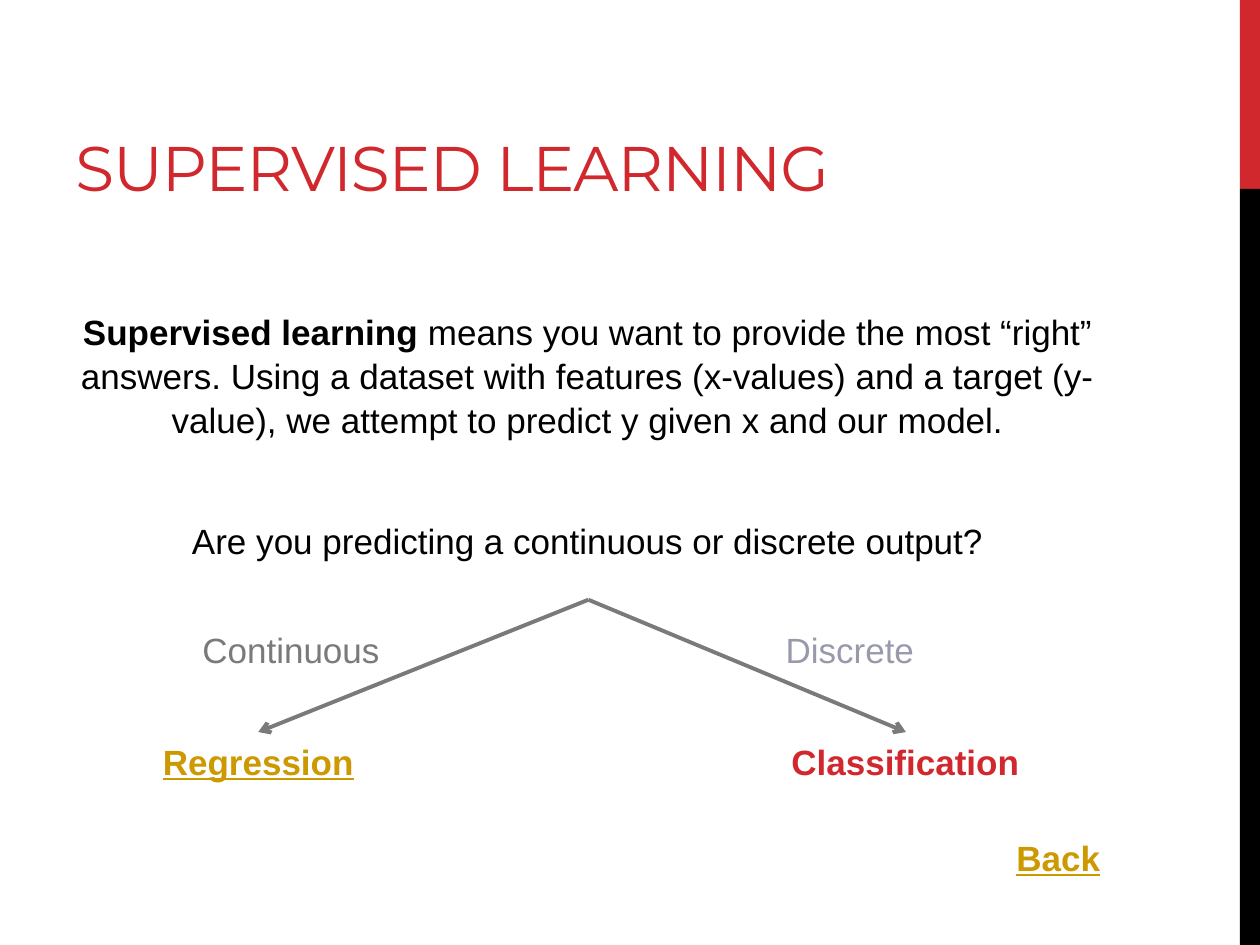
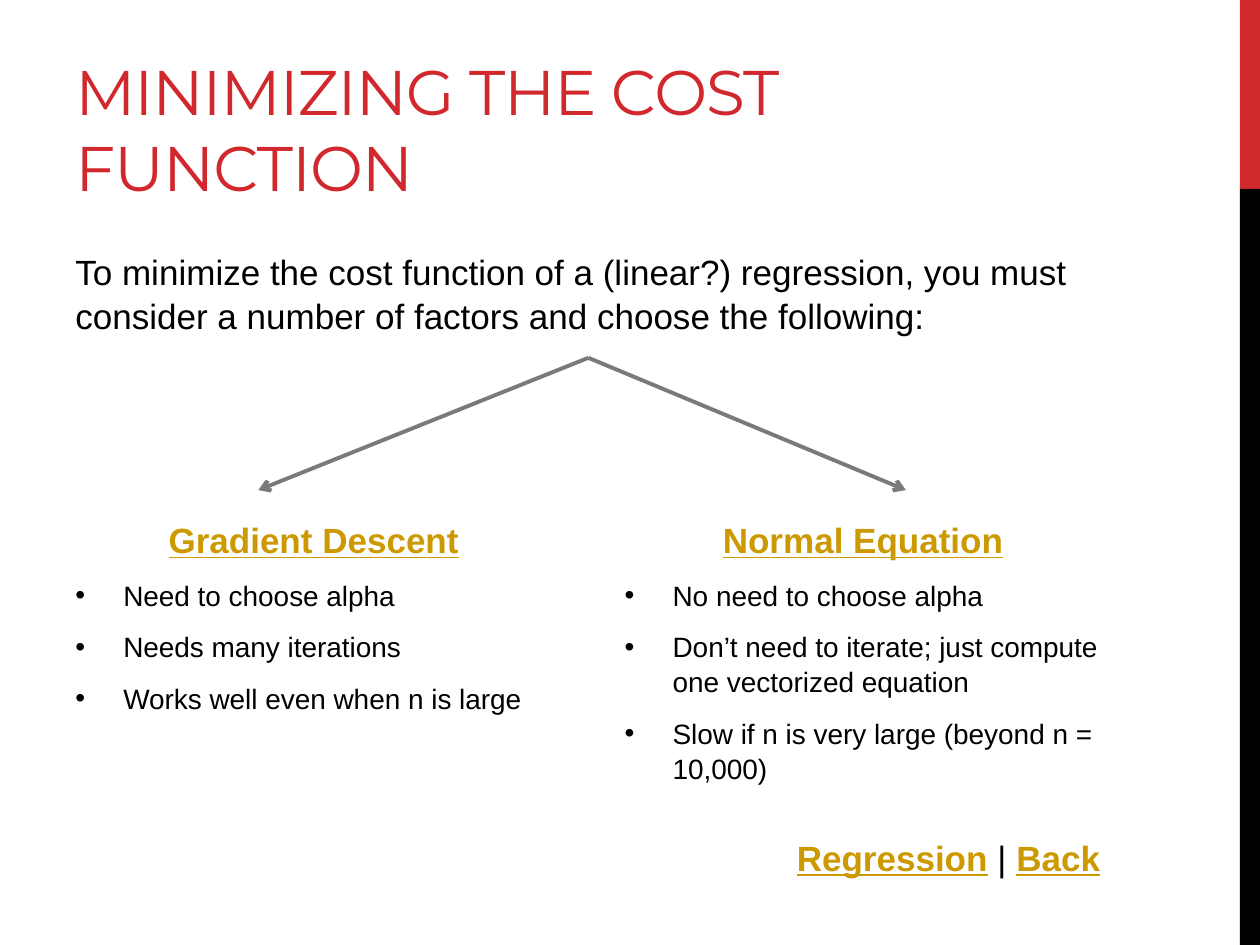
from dataclasses import dataclass

from lxml.etree import SubElement
from pptx import Presentation
from pptx.dml.color import RGBColor
from pptx.enum.shapes import MSO_CONNECTOR, MSO_SHAPE
from pptx.enum.text import MSO_ANCHOR, PP_ALIGN
from pptx.oxml.ns import qn
from pptx.util import Inches, Pt


@dataclass(frozen=True)
class Theme:
    red: str = "D1282E"
    black: str = "000000"
    gray: str = "7A7A7A"
    lavender: str = "989AAC"
    gold: str = "CC9900"
    title_font: str = "Montserrat"
    body_font: str = "Arial"
    title_size: float = 36
    body_size: float = 20
    bullet_size: float = 16
    arrow_width: float = 2.25
    body_leading: float = 1.05
    space_after: float = 6
    space_before_share: float = 0.2


THEME = Theme()
LEFT, CONTENT_WIDTH = 0.5, 8.33
BAND_LEFT, BAND_WIDTH, BAND_SPLIT = 9.84, 0.16, 1.5
FORK_X, BRANCH_XS, FORK_DROP = 4.67, (2.05, 7.19), 1.05


class Deck:
    def __init__(self, theme):
        self.theme = theme
        self.presentation = Presentation()
        self.presentation.slide_width = Inches(10)
        self.presentation.slide_height = Inches(7.5)
        self.slide = None

    def start_slide(self, title):
        blank = self.presentation.slide_layouts[6]
        self.slide = self.presentation.slides.add_slide(blank)
        self.band(0, BAND_SPLIT, self.theme.red)
        self.band(BAND_SPLIT, 7.5 - BAND_SPLIT, self.theme.black)
        self.title(title)

    def band(self, top, height, color):
        band = self.slide.shapes.add_shape(
            MSO_SHAPE.RECTANGLE, Inches(BAND_LEFT), Inches(top),
            Inches(BAND_WIDTH), Inches(height))
        band.shadow.inherit = False
        band.fill.solid()
        band.fill.fore_color.rgb = RGBColor.from_string(color)
        band.line.fill.background()

    def frame(self, left, top, width, height):
        box = self.slide.shapes.add_textbox(
            Inches(left), Inches(top), Inches(width), Inches(height))
        box.text_frame.word_wrap = True
        return box.text_frame

    def style_run(self, run, color, size=None, bold=False, underline=False):
        font = run.font
        font.name = self.theme.body_font
        font.size = Pt(size or self.theme.body_size)
        font.color.rgb = RGBColor.from_string(color)
        font.bold = bold
        font.underline = underline

    def title(self, text):
        frame = self.frame(LEFT, 0.17, 6.33, 1.5)
        frame.vertical_anchor = MSO_ANCHOR.BOTTOM
        frame.text = text
        run = frame.paragraphs[0].runs[0]
        self.style_run(run, self.theme.red, self.theme.title_size)
        run.font.name = self.theme.title_font
        run._r.get_or_add_rPr().set("spc", "-60")

    def space(self, paragraph, before=0):
        paragraph.line_spacing = self.theme.body_leading
        paragraph.space_before = Pt(before)
        paragraph.space_after = Pt(self.theme.space_after)

    def line(self, paragraph, parts, align, before=0):
        paragraph.alignment = align
        self.space(paragraph, before)
        for text, style in parts:
            run = paragraph.add_run()
            run.text = text
            self.style_run(run, **style)

    def text(self, left, top, width, height, parts, align=PP_ALIGN.CENTER):
        frame = self.frame(left, top, width, height)
        self.line(frame.paragraphs[0], parts, align)
        return frame

    def bullet(self, frame, text):
        paragraph = frame.add_paragraph()
        paragraph.text = text
        size = self.theme.bullet_size
        self.space(paragraph, size * self.theme.space_before_share)
        properties = paragraph._p.get_or_add_pPr()
        properties.set("marL", str(Inches(0.38)))
        properties.set("indent", str(Inches(-0.38)))
        SubElement(properties, qn("a:buFont")).set("typeface", self.theme.body_font)
        SubElement(properties, qn("a:buChar")).set("char", "•")
        self.style_run(paragraph.runs[0], self.theme.black, size)

    def option(self, left, heading, points):
        frame = self.text(left, 4.05, 3.98, 2.52, [(heading, LINK)])
        for point in points:
            self.bullet(frame, point)

    def fork(self, top):
        for branch_x in BRANCH_XS:
            arrow = self.slide.shapes.add_connector(
                MSO_CONNECTOR.STRAIGHT, Inches(FORK_X), Inches(top),
                Inches(branch_x), Inches(top + FORK_DROP))
            arrow.line.color.rgb = RGBColor.from_string(self.theme.gray)
            arrow.line.width = Pt(self.theme.arrow_width)
            outline = arrow.line._get_or_add_ln()
            SubElement(outline, qn("a:tailEnd")).set("type", "arrow")
            SubElement(arrow._element.spPr, qn("a:effectLst"))

    def navigation(self, parts):
        self.text(LEFT, 6.57, CONTENT_WIDTH, 0.6, parts, PP_ALIGN.RIGHT)


PLAIN = dict(color=THEME.black)
STRONG = dict(color=THEME.black, bold=True)
LINK = dict(color=THEME.gold, bold=True, underline=True)
CURRENT = dict(color=THEME.red, bold=True)


def supervised_learning(deck):
    deck.start_slide("SUPERVISED LEARNING")
    definition = deck.text(LEFT, 2.4, CONTENT_WIDTH, 2.36, [
        ("Supervised learning", STRONG),
        (" means you want to provide the most “right” answers. Using a dataset "
         "with features (x-values) and a target (y-value), we attempt to predict "
         "y given x and our model.", PLAIN),
    ])
    deck.line(definition.add_paragraph(),
              [("Are you predicting a continuous or discrete output?", PLAIN)],
              PP_ALIGN.CENTER, before=38)
    deck.fork(4.76)
    for left, top, width, label, style in (
        (0.5, 5.81, 3.1, "Regression", LINK),
        (5.54, 5.81, 3.29, "Classification", CURRENT),
        (1.36, 4.92, 1.9, "Continuous", dict(color=THEME.gray)),
        (6.01, 4.92, 1.47, "Discrete", dict(color=THEME.lavender)),
    ):
        deck.text(left, top, width, 0.57, [(label, style)])
    deck.navigation([("Back", LINK)])


def minimizing_cost(deck):
    deck.start_slide("MINIMIZING THE COST FUNCTION")
    deck.text(LEFT, 1.92, CONTENT_WIDTH, 0.82, [
        ("To minimize the cost function of a (linear?) regression, you must "
         "consider a number of factors and choose the following:", PLAIN),
    ], PP_ALIGN.LEFT)
    deck.option(LEFT, "Gradient Descent", (
        "Need to choose alpha",
        "Needs many iterations",
        "Works well even when n is large",
    ))
    deck.option(4.86, "Normal Equation", (
        "No need to choose alpha",
        "Don’t need to iterate; just compute one vectorized equation",
        "Slow if n is very large (beyond n = 10,000)",
    ))
    deck.navigation([("Regression", LINK), (" | ", PLAIN), ("Back", LINK)])
    deck.fork(2.84)


def main():
    deck = Deck(THEME)
    supervised_learning(deck)
    minimizing_cost(deck)
    deck.presentation.save("out.pptx")


if __name__ == "__main__":
    main()
